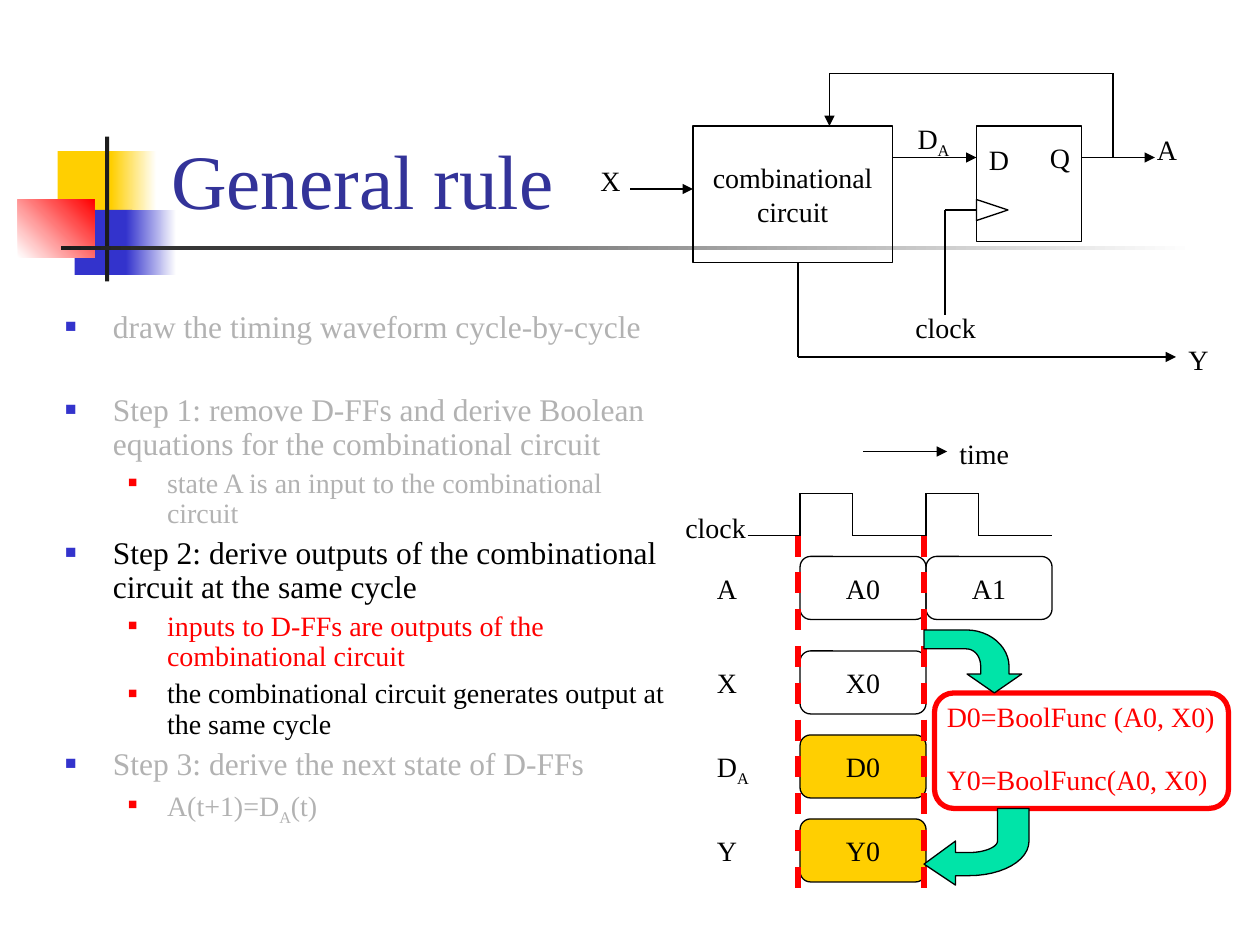
from itertools import pairwise

from lxml import etree
from pptx import Presentation
from pptx.dml.color import RGBColor
from pptx.enum.dml import MSO_LINE
from pptx.enum.shapes import MSO_CONNECTOR, MSO_SHAPE
from pptx.enum.text import MSO_ANCHOR, MSO_AUTO_SIZE, PP_ALIGN
from pptx.oxml.ns import qn
from pptx.util import Inches, Pt

RECT, ROUNDED, TRIANGLE = MSO_SHAPE.RECTANGLE, MSO_SHAPE.ROUNDED_RECTANGLE, MSO_SHAPE.ISOSCELES_TRIANGLE
STRAIGHT, DASH = MSO_CONNECTOR.STRAIGHT, MSO_LINE.DASH
LEFT, CENTER = PP_ALIGN.LEFT, PP_ALIGN.CENTER
TOP, MIDDLE, BOTTOM = MSO_ANCHOR.TOP, MSO_ANCHOR.MIDDLE, MSO_ANCHOR.BOTTOM
NO_FIT, GROW = MSO_AUTO_SIZE.NONE, MSO_AUTO_SIZE.SHAPE_TO_FIT_TEXT

FONT = "Times New Roman"
COLORS = {"black": "000000", "white": "FFFFFF", "ink": "1C1C1C", "gray": "B2B2B2",
          "title": "333399", "blue": "3333CC", "yellow": "FFCF01", "red": "FF0000",
          "green": "00E4A8"}
GRID = Inches(1) / 12  # the slide is a grid of 120 columns by 90 rows
CURVE_STEPS = 12

# Body list: level, text, colour, space before in points
STEPS = [
    (0, "draw the timing waveform cycle-by-cycle", "gray", 0),
    (0, "Step 1: remove D-FFs and derive Boolean equations for the combinational circuit", "gray", 28),
    (1, "state A is an input to the combinational circuit", "gray", 4),
    (0, "Step 2: derive outputs of the combinational circuit at the same cycle", "black", 4.5),
    (1, "inputs to D-FFs are outputs of the combinational circuit", "red", 4),
    (1, "the combinational circuit generates output at the same cycle", "black", 4),
    (0, "Step 3: derive the next state of D-FFs", "gray", 4.5),
    (1, "A(t+1)=D~A~(t)", "gray", 4),
]
# Per level: text size, left margin, hanging indent, bullet colour, bullet size
LEVELS = [(18, 0.38, 0.38, "blue", 60), (16, 0.81, 0.31, "red", 55)]


def rgb(name):
    return RGBColor.from_string(COLORS[name])


def style(target, **values):
    for key, value in values.items():
        setattr(target, key, value)


def write(paragraph, text, size, color):
    """Add runs; the parts between ~ marks are subscripts."""
    for i, part in enumerate(text.split("~")):
        run = paragraph.add_run()
        style(run, text=part)
        style(run.font, name=FONT, size=Pt(size))
        run.font.color.rgb = rgb(color)
        if i % 2:
            run.font._element.set("baseline", "-25000")


class Region:
    """A group of parts placed in grid units from its own corner."""

    def __init__(self, slide, column, row):
        self.shapes = slide.shapes.add_group_shape().shapes
        self.column, self.row = column, row

    def point(self, x, y):
        return round((self.column + x) * GRID), round((self.row + y) * GRID)

    def finish(self, shape, fill=None, line=None, weight=0.75):
        shape.shadow.inherit = False
        if fill:
            shape.fill.solid()
            shape.fill.fore_color.rgb = rgb(fill)
        else:
            shape.fill.background()
        if line:
            shape.line.color.rgb = rgb(line)
            shape.line.width = Pt(weight)
        else:
            shape.line.fill.background()
        return shape

    def box(self, x, y, w, h, kind=RECT, text="", **look):
        shape = self.shapes.add_shape(kind, *self.point(x, y), round(w * GRID), round(h * GRID))
        if text:
            self.fill_text(shape, text, "black", word_wrap=False, vertical_anchor=MIDDLE)
            for paragraph in shape.text_frame.paragraphs:
                paragraph.alignment = CENTER
        return self.finish(shape, **look)

    def fill_text(self, shape, text, color, **frame_format):
        frame = shape.text_frame
        style(frame, **frame_format)
        for i, line in enumerate(text.split("\n")):
            write(frame.add_paragraph() if i else frame.paragraphs[0], line, 16, color)

    def label(self, x, y, text, w=4.3, h=4.4, color="black"):
        shape = self.shapes.add_textbox(*self.point(x, y), round(w * GRID), round(h * GRID))
        self.fill_text(shape, text, color, word_wrap=False, auto_size=GROW, vertical_anchor=TOP)

    def wire(self, *points, arrow=False, color="black", weight=0.75, dash=None):
        for start, end in pairwise(points):
            line = self.shapes.add_connector(STRAIGHT, *self.point(*start), *self.point(*end))
            line.line.color.rgb = rgb(color)
            style(line.line, width=Pt(weight), dash_style=dash)
            etree.SubElement(line._element.spPr, qn("a:effectLst"))
            if arrow and end == points[-1]:
                etree.SubElement(line.line._get_or_add_ln(), qn("a:tailEnd"), type="triangle")

    def outline(self, x, y, segments, **look):
        """Close an outline of line ends (2 numbers) and cubic curves (6 numbers)."""
        points = []
        for segment in segments:
            if len(segment) == 2:
                points.append(segment)
                continue
            nodes = [points[-1], segment[:2], segment[2:4], segment[4:]]
            for step in range(1, CURVE_STEPS + 1):
                t = step / CURVE_STEPS
                weights = ((1 - t) ** 3, 3 * t * (1 - t) ** 2, 3 * t * t * (1 - t), t ** 3)
                points.append(tuple(sum(k * n[axis] for k, n in zip(weights, nodes)) for axis in (0, 1)))
        corners = [self.point(x + px, y + py) for px, py in points]
        builder = self.shapes.build_freeform(*corners[0])
        builder.add_line_segments(corners[1:], close=True)
        self.finish(builder.convert_to_shape(), **look)


def draw_decoration(slide, column, row):
    region = Region(slide, column, row)
    # x, y, width, height, start colour, end colour, angle
    for x, y, w, h, start, end, angle in [
        (3.8, 1.4, 5.8, 6.2, "yellow", None, 0), (8.9, 1.4, 4.3, 6.2, "yellow", "white", 0),
        (5.4, 7, 5.5, 6.2, "blue", None, 0), (10.3, 7, 4.8, 6.2, "blue", "white", 0),
        (0, 6, 7.3, 5.5, "white", "red", 45), (8.3, 0, 0.4, 13.8, "ink", None, 0),
        (4.1, 10.4, 108, 0.4, "ink", "white", 0),
    ]:
        block = region.box(x, y, w, h, fill=start)
        if end:
            block.fill.gradient()
            block.fill.gradient_angle = angle
            for stop, color in zip(block.fill.gradient_stops, (start, end)):
                stop.color.rgb = rgb(color)


def place(placeholder, x, y, w, h, anchor):
    style(placeholder, left=round(x * GRID), top=round(y * GRID), width=round(w * GRID), height=round(h * GRID))
    style(placeholder.text_frame, word_wrap=True, auto_size=NO_FIT, vertical_anchor=anchor)
    tree = placeholder._element.getparent()
    tree.append(placeholder._element)  # bring in front of the decoration
    return placeholder.text_frame


def fill_title(slide, *box):
    heading = place(slide.shapes.title, *box, BOTTOM).paragraphs[0]
    heading.alignment = LEFT
    write(heading, "General rule", 44, "title")


def fill_body(slide, *box):
    frame = place(slide.placeholders[1], *box, TOP)
    for i, (level, text, color, gap) in enumerate(STEPS):
        size, margin, hanging, bullet_color, bullet_size = LEVELS[level]
        step = frame.add_paragraph() if i else frame.paragraphs[0]
        props = step._element.get_or_add_pPr()
        props.set("marL", str(Inches(margin)))
        props.set("indent", str(-Inches(hanging)))
        tint = etree.SubElement(props, qn("a:buClr"))
        etree.SubElement(tint, qn("a:srgbClr"), val=COLORS[bullet_color])
        etree.SubElement(props, qn("a:buSzPct"), val=str(bullet_size * 1000))
        etree.SubElement(props, qn("a:buFont"), typeface=FONT)
        etree.SubElement(props, qn("a:buChar"), char="■")
        style(step, level=level, line_spacing=0.9, space_before=Pt(gap), alignment=LEFT)
        write(step, text, size, color)


def draw_circuit(slide, column, row):
    region = Region(slide, column, row)
    region.box(10, 5, 19, 13, text="combinational\ncircuit", line="black")
    region.box(37, 5, 10, 11, line="black")
    region.box(37.5, 11.5, 2, 3, TRIANGLE, line="black").rotation = 90
    region.wire((4, 11), (10, 11), arrow=True)  # input X
    region.wire((29, 8), (37, 8), arrow=True)  # flip-flop input
    region.wire((47, 8), (54, 8), arrow=True)  # state output
    region.wire((50, 8), (50, 0), (23, 0), (23, 5), arrow=True)  # feedback
    region.wire((37, 13), (34, 13), (34, 23))  # clock
    region.wire((20, 18), (20, 27), (56, 27), arrow=True)  # output Y
    for x, y, text in [(0, 8, "X"), (37, 6, "D"), (42.8, 5.8, "Q"), (53, 5, "A"), (56, 25, "Y")]:
        region.label(x, y, text)
    region.label(30.2, 4, "D~A~", 5.4, 4.9)
    region.label(30, 22, "clock", 8.2)


def draw_timing(slide, column, row):
    region = Region(slide, column, row)
    cycle, first = 12, 12
    region.wire((18, 2), (26, 2), arrow=True)
    region.label(26, 0, "time", 7.1)
    # Clock and signal rows
    region.label(-0.1, 7, "clock", 8.2)
    region.wire((7, 10), (first, 10))
    for x in (first, first + cycle):
        region.wire((x, 10), (x, 6), (x + 5, 6), (x + 5, 10), (x + cycle, 10))
    for y, name, values, fill in [(12, "A", ["A0", "A1"], None), (21, "X", ["X0"], None),
                                  (29, "D~A~", ["D0"], "yellow"), (37, "Y", ["Y0"], "yellow")]:
        region.label(2.9, y + 0.8, name, *((5.4, 4.9) if "~" in name else ()))
        for i, value in enumerate(values):
            region.box(first + i * cycle, y, cycle, 6, ROUNDED, value, fill=fill, line="black")
    # Cycle limits
    for x in (11.8, 11.8 + cycle):
        region.wire((x, 10), (x, 44), color="red", weight=3, dash=DASH)
    # Function callout with its arrows; the labels are wide enough for one line
    for y, function in ((25, "D0=BoolFunc (A0, X0)"), (31, "Y0=BoolFunc(A0, X0)")):
        region.label(24.8, y, function, 29, color="red")
    region.box(24.8, 25, 28, 11, ROUNDED, line="red", weight=3)
    arrow_in = [(0, 0), (4, 0), (6.3, 0, 8.1, 1.6, 8.1, 3.5), (8.1, 4.2), (9.3, 4.2), (6.7, 6),
                (4.1, 4.2), (5.4, 4.2), (5.4, 3.5), (5.4, 2.5, 4.8, 1.8, 4, 1.8), (0, 1.8)]
    arrow_out = [(0, 5.3), (3, 7.3), (3, 6.4), (4.3, 6.4), (7.4, 6.4, 10, 5, 10, 3.1), (10, 0),
                 (7, 0), (7, 3.1), (7, 3.7, 5.7, 4.2, 4.3, 4.2), (3, 4.2), (3, 3.1)]
    for y, arrow in ((19, arrow_in), (36, arrow_out)):
        region.outline(23.8, y, arrow, fill="green", line="black")


def main():
    prs = Presentation()
    style(prs, slide_width=Inches(10), slide_height=Inches(7.5))
    slide = prs.slides.add_slide(prs.slide_layouts[1])
    draw_decoration(slide, 1.7, 13)
    fill_title(slide, 15.1, 2.8, 102.2, 19.2)
    fill_body(slide, 5, 29, 61, 54)
    draw_circuit(slide, 56, 7)
    draw_timing(slide, 64.2, 41)
    prs.save("out.pptx")


if __name__ == "__main__":
    main()
